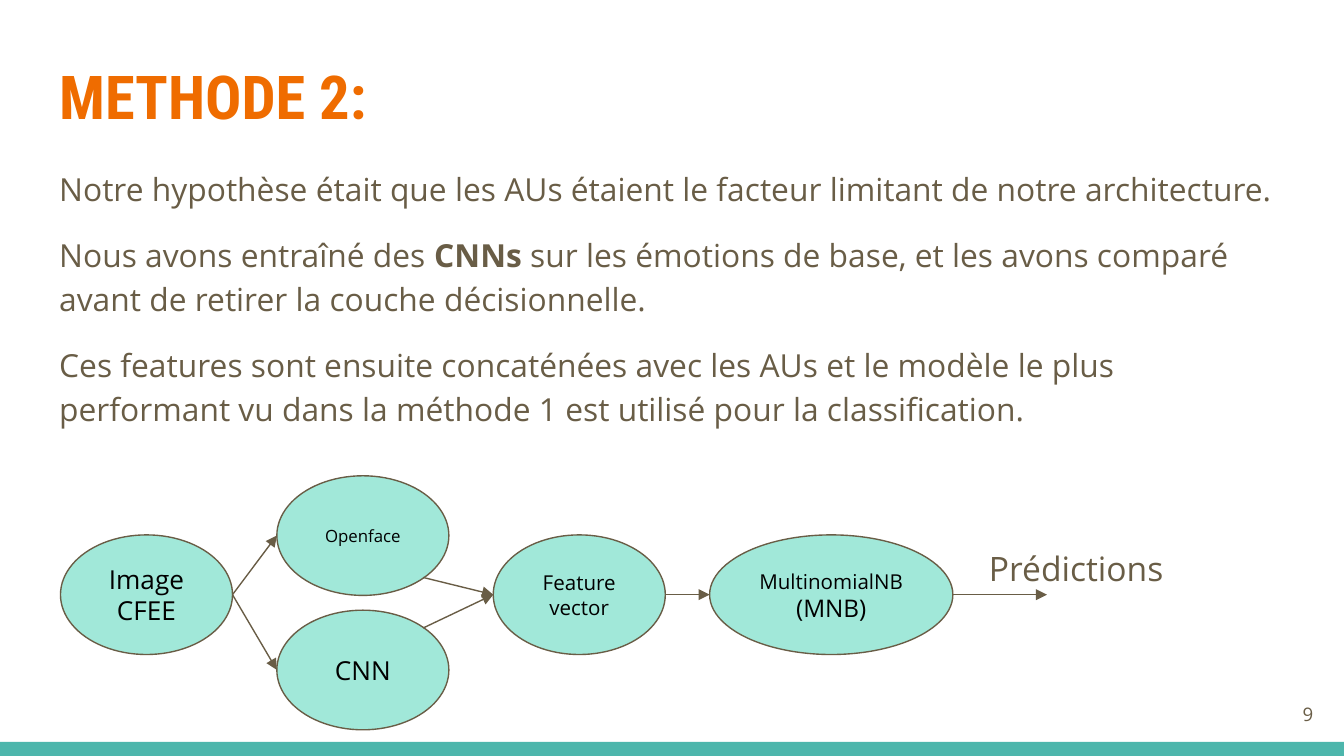
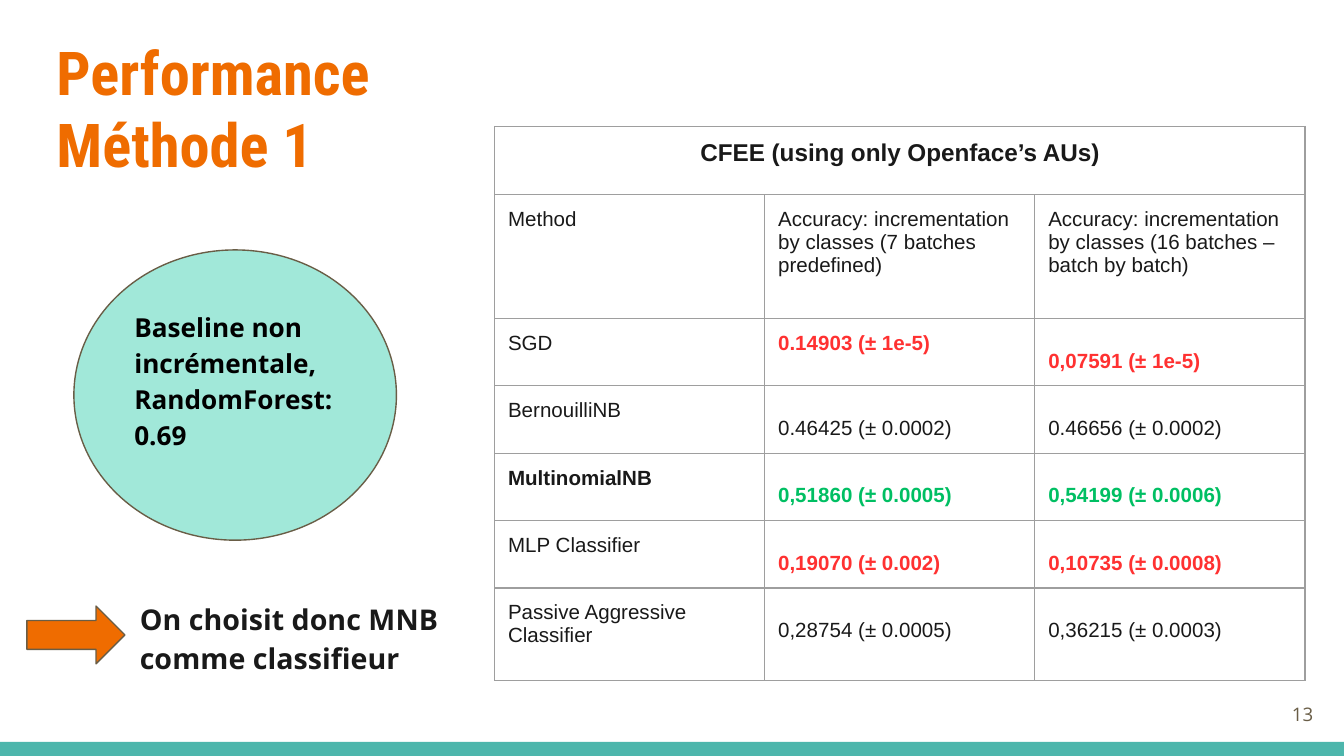
from dataclasses import dataclass
from typing import Any, NamedTuple

import pptx
import pptx.dml.color
import pptx.enum.shapes
import pptx.enum.text
import pptx.oxml
import pptx.oxml.ns
import pptx.util
from lxml import etree

Inches = pptx.util.Inches
Pt = pptx.util.Pt
Shapes = pptx.enum.shapes.MSO_SHAPE
Align = pptx.enum.text.PP_ALIGN
Anchor = pptx.enum.text.MSO_ANCHOR
qn = pptx.oxml.ns.qn


@dataclass(frozen=True)
class Theme:
    orange: str = "EF6C00"
    teal: str = "4DB6AC"
    mint: str = "A1E8D9"
    brown: str = "695D46"
    ink: str = "191919"
    black: str = "000000"
    red: str = "FF3131"
    green: str = "00BF63"
    grid: str = "9E9E9E"
    title_font: str = "Roboto Condensed"
    body_font: str = "Open Sans"
    table_font: str = "Arial"
    title_size: float = 32.4
    body_size: float = 17
    conclusion_size: float = 15.3
    prediction_size: float = 18
    node_size: float = 14
    table_head_size: float = 13
    table_size: float = 11
    number_size: float = 10
    line_width: float = 0.75
    loose: float = 1.15
    value_spacing: float = 1.77


THEME = Theme()


class Box(NamedTuple):
    left: float
    top: float
    width: float
    height: float

    def lengths(self) -> tuple[int, ...]:
        return tuple(Inches(value) for value in self)

    def at(self, across: float, down: float) -> tuple[float, float]:
        return self.left + across * self.width, self.top + down * self.height


class Run(NamedTuple):
    text: str
    size: float | None = None
    bold: bool | None = None


class Node(NamedTuple):
    box: Box
    runs: list[Run]


class Score(NamedTuple):
    text: str
    color: str = THEME.ink
    bold: bool = False
    spacing: float = THEME.value_spacing


class Method(NamedTuple):
    name: str
    scores: tuple[Score, Score]
    height: float = 0.47
    bold: bool = False


RIGHT, LEFT = (1, 0.5), (0, 0.5)
LOWER_RIGHT, UPPER_RIGHT = (0.85, 0.85), (0.85, 0.15)


def rgb(color: str) -> pptx.dml.color.RGBColor:
    return pptx.dml.color.RGBColor.from_string(color)


def write(frame: Any, paragraphs: list[list[Run]], *, size: float, color: str,
          font: str = THEME.body_font, bold: bool = False, align: Any = Align.LEFT,
          anchor: Any = Anchor.TOP, spacing: float = 1, gap: float = 0,
          bottom: float = 0.1, plain_list: bool = False) -> None:
    frame.word_wrap = True
    frame.auto_size = pptx.enum.text.MSO_AUTO_SIZE.NONE
    frame.vertical_anchor = anchor
    frame.margin_left = frame.margin_right = frame.margin_top = Inches(0.1)
    frame.margin_bottom = Inches(bottom)
    for index, runs in enumerate(paragraphs):
        paragraph = frame.add_paragraph() if index else frame.paragraphs[0]
        if plain_list:
            properties = paragraph._p.get_or_add_pPr()
            properties.set("marL", "0")
            properties.set("indent", "0")
            etree.SubElement(properties, qn("a:buNone"))
        paragraph.alignment = align
        paragraph.line_spacing = spacing
        paragraph.space_before = Pt(gap if index else 0)
        for item in runs:
            run = paragraph.add_run()
            run.text = item.text
            run.font.name = font
            run.font.size = Pt(item.size or size)
            run.font.bold = bold if item.bold is None else item.bold
            run.font.color.rgb = rgb(color)


def place(shape: Any, box: Box) -> None:
    shape.left, shape.top, shape.width, shape.height = box.lengths()


def add_text(slide: Any, box: Box, text: str, **style: Any) -> None:
    write(slide.shapes.add_textbox(*box.lengths()).text_frame, [[Run(text)]], **style)


def add_figure(slide: Any, preset: Any, box: Box, fill: str, outlined: bool = True) -> Any:
    shape = slide.shapes.add_shape(preset, *box.lengths())
    shape.shadow.inherit = False
    shape.fill.solid()
    shape.fill.fore_color.rgb = rgb(fill)
    if outlined:
        shape.line.color.rgb = rgb(THEME.brown)
        shape.line.width = Pt(THEME.line_width)
    else:
        shape.line.fill.background()
    return shape


def add_node(slide: Any, node: Node) -> None:
    ellipse = add_figure(slide, Shapes.OVAL, node.box, THEME.mint)
    write(ellipse.text_frame, [node.runs], size=THEME.node_size, color=THEME.black,
          align=Align.CENTER, anchor=Anchor.MIDDLE)


def add_arrow(slide: Any, start: tuple[float, float], end: tuple[float, float]) -> None:
    arrow = slide.shapes.add_connector(
        pptx.enum.shapes.MSO_CONNECTOR.STRAIGHT,
        *(Inches(value) for value in (*start, *end)))
    arrow.line.color.rgb = rgb(THEME.brown)
    arrow.line.width = Pt(THEME.line_width)
    etree.SubElement(arrow.line._get_or_add_ln(), qn("a:tailEnd"), type="triangle")
    etree.SubElement(arrow.element.spPr, qn("a:effectLst"))


def add_slide(deck: Any, title: str, title_box: Box, body_box: Box,
              body: list[list[Run]], number: int, **body_style: Any) -> Any:
    slide = deck.slides.add_slide(deck.slide_layouts[1])
    add_figure(slide, Shapes.RECTANGLE, Box(0, 5.52, 10, 0.11), THEME.teal, outlined=False)
    heading, content = slide.shapes.title, slide.placeholders[1]
    place(heading, title_box)
    write(heading.text_frame, [[Run(title)]], size=THEME.title_size, color=THEME.orange,
          font=THEME.title_font, bold=True)
    place(content, body_box)
    write(content.text_frame, body, spacing=THEME.loose, plain_list=True, **body_style)
    add_text(slide, Box(9.27, 5.1, 0.6, 0.43), str(number), size=THEME.number_size,
             color=THEME.brown, align=Align.RIGHT, anchor=Anchor.MIDDLE)
    return slide


def style_cell(cell: Any) -> None:
    cell.margin_left = cell.margin_right = cell.margin_top = cell.margin_bottom = Inches(0.1)
    properties = cell._tc.get_or_add_tcPr()
    for side in ("a:lnL", "a:lnR", "a:lnT", "a:lnB"):
        border = etree.SubElement(properties, qn(side), w=str(Pt(THEME.line_width)))
        paint = etree.SubElement(border, qn("a:solidFill"))
        etree.SubElement(paint, qn("a:srgbClr"), val=THEME.grid)
    cell.fill.background()


def fill_cell(cell: Any, score: Score, size: float = THEME.table_size,
              align: Any = Align.LEFT) -> None:
    paragraph = cell.text_frame.paragraphs[0]
    paragraph.alignment = align
    paragraph.line_spacing = score.spacing
    run = paragraph.add_run()
    run.text = score.text
    run.font.name = THEME.table_font
    run.font.size = Pt(size)
    run.font.bold = score.bold
    run.font.color.rgb = rgb(score.color)


def add_scores(slide: Any, heading: str, methods: list[Method]) -> None:
    heights = [0.51, *(method.height for method in methods)]
    box = Box(3.68, 0.94, 6.03, sum(heights))
    table = slide.shapes.add_table(len(heights), 3, *box.lengths()).table
    table.first_row = table.horz_banding = False
    for column in table.columns:
        column.width = Inches(box.width / 3)
    for row, height in zip(table.rows, heights):
        row.height = Inches(height)
    for cell in table.iter_cells():
        style_cell(cell)
    table.cell(0, 0).merge(table.cell(0, 2))
    fill_cell(table.cell(0, 0), Score(heading, bold=True, spacing=1),
              THEME.table_head_size, Align.CENTER)
    for row, method in enumerate(methods, start=1):
        name = Score(method.name, bold=method.bold, spacing=1)
        for column, score in enumerate((name, *method.scores)):
            fill_cell(table.cell(row, column), score)


def build_method(deck: Any) -> None:
    hypothesis = [
        [Run("Notre hypothèse était que les AUs étaient le facteur limitant de notre architecture.")],
        [Run("Nous avons entraîné des "), Run("CNNs", bold=True),
         Run(" sur les émotions de base, et les avons comparé avant de retirer la couche décisionnelle.")],
        [Run("Ces features sont ensuite concaténées avec les AUs et le modèle le plus performant "
             "vu dans la méthode 1 est utilisé pour la classification.")],
    ]
    slide = add_slide(deck, "METHODE 2:", Box(0.34, 0.34, 9.32, 0.77),
                      Box(0.34, 1.12, 9.32, 2.74), hypothesis, 9,
                      size=THEME.body_size, color=THEME.brown, gap=12)
    width, height, middle, step = 1.28, 0.89, 3.98, 1.61
    lefts = [0.45 + step * stage for stage in range(4)]
    image = Node(Box(lefts[0], middle, width, height), [Run("Image CFEE")])
    cnn = Node(Box(lefts[1], 4.54, width, height), [Run("CNN")])
    openface = Node(Box(lefts[1], 3.54, width, height), [Run("Openface", 9)])
    vector = Node(Box(lefts[2], middle, width, height), [Run("Feature vector", 11)])
    classifier = Node(Box(lefts[3], middle, 1.81, height),
                      [Run("MultinomialNB", 11), Run(" ", 12), Run("(MNB)", 13)])
    for node in (image, cnn, openface, vector, classifier):
        add_node(slide, node)
    for source, leaving, target in (
        (image, RIGHT, cnn), (image, RIGHT, openface),
        (cnn, UPPER_RIGHT, vector), (openface, LOWER_RIGHT, vector),
        (vector, RIGHT, classifier),
    ):
        add_arrow(slide, source.box.at(*leaving), target.box.at(*LEFT))
    exit_x, exit_y = classifier.box.at(*RIGHT)
    add_arrow(slide, (exit_x, exit_y), (exit_x + 0.7, exit_y))
    add_text(slide, Box(7.26, 3.98, 2.29, 0.24), "Prédictions",
             size=THEME.prediction_size, color=THEME.brown)


def build_performance(deck: Any) -> None:
    slide = add_slide(deck, "Performance Méthode 1", Box(0.32, 0.16, 2.85, 0.77),
                      Box(0.94, 4.34, 2.58, 0.98),
                      [[Run("On choisit donc MNB comme classifieur")]], 13,
                      size=THEME.conclusion_size, color=THEME.ink, bold=True)
    red, green = THEME.red, THEME.green
    add_scores(slide, "CFEE (using only Openface’s AUs)", [
        Method("Method", (
            Score("Accuracy: incrementation by classes (7 batches predefined)", spacing=1),
            Score("Accuracy: incrementation by classes (16 batches – batch by batch)", spacing=1),
        ), height=0.92),
        Method("SGD", (Score("0.14903 (± 1e-5)", red, True, 1),
                       Score("0,07591 (± 1e-5)", red, True))),
        Method("BernouilliNB", (Score("0.46425 (± 0.0002)"), Score("0.46656 (± 0.0002)"))),
        Method("MultinomialNB", (Score("0,51860 (± 0.0005)", green, True),
                                 Score("0,54199 (± 0.0006)", green, True)), bold=True),
        Method("MLP Classifier", (Score("0,19070 (± 0.002)", red, True),
                                  Score("0,10735 (± 0.0008)", red, True))),
        Method("Passive Aggressive Classifier",
               (Score("0,28754 (± 0.0005)"), Score("0,36215 (± 0.0003)")), height=0.69),
    ])
    baseline = add_figure(slide, Shapes.OVAL, Box(0.55, 1.86, 2.4, 2.16), THEME.mint)
    write(baseline.text_frame, [[Run("Baseline non incrémentale, RandomForest: 0.69")]],
          size=THEME.node_size, color=THEME.black, bold=True, anchor=Anchor.MIDDLE,
          spacing=THEME.loose, bottom=0.34)
    add_figure(slide, Shapes.RIGHT_ARROW, Box(0.2, 4.51, 0.73, 0.43), THEME.orange)


def main() -> None:
    deck = pptx.Presentation()
    deck.slide_width = Inches(10)
    deck.slide_height = Inches(10 * 9 / 16)
    build_method(deck)
    build_performance(deck)
    deck.save("out.pptx")


if __name__ == "__main__":
    main()
